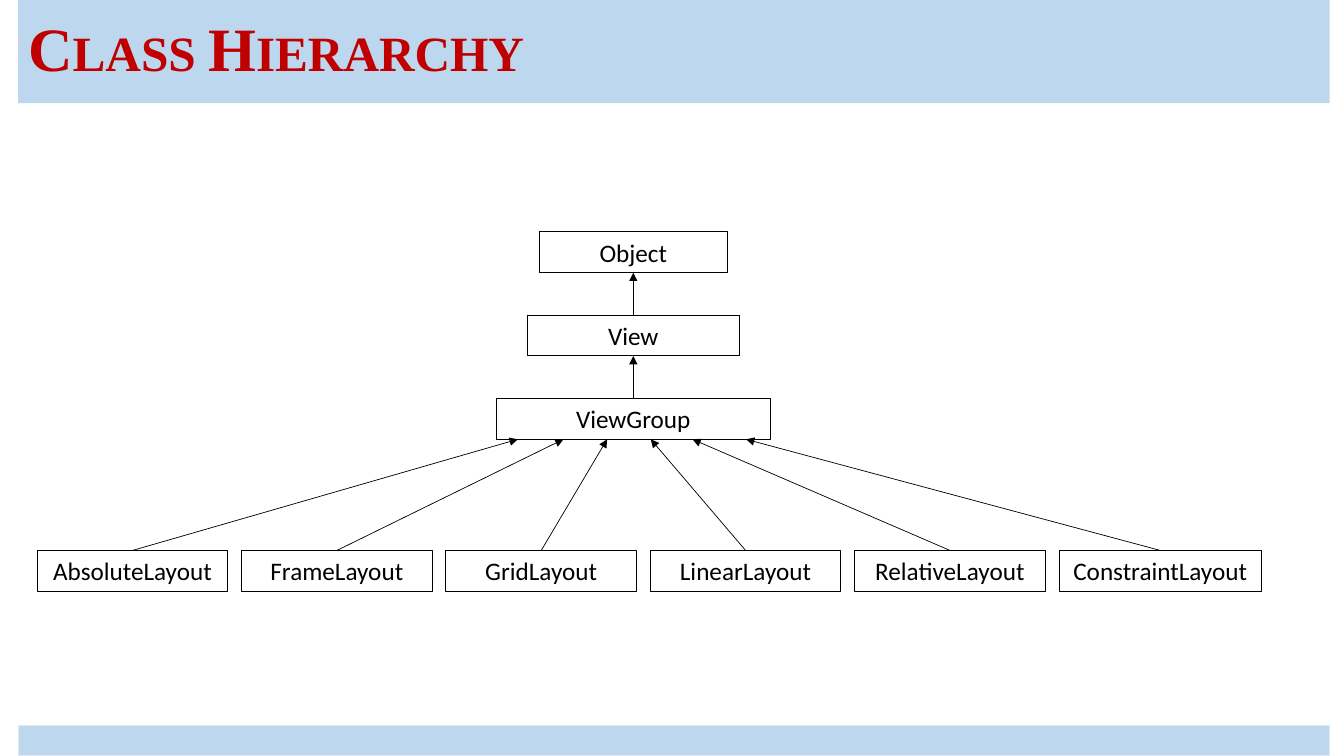
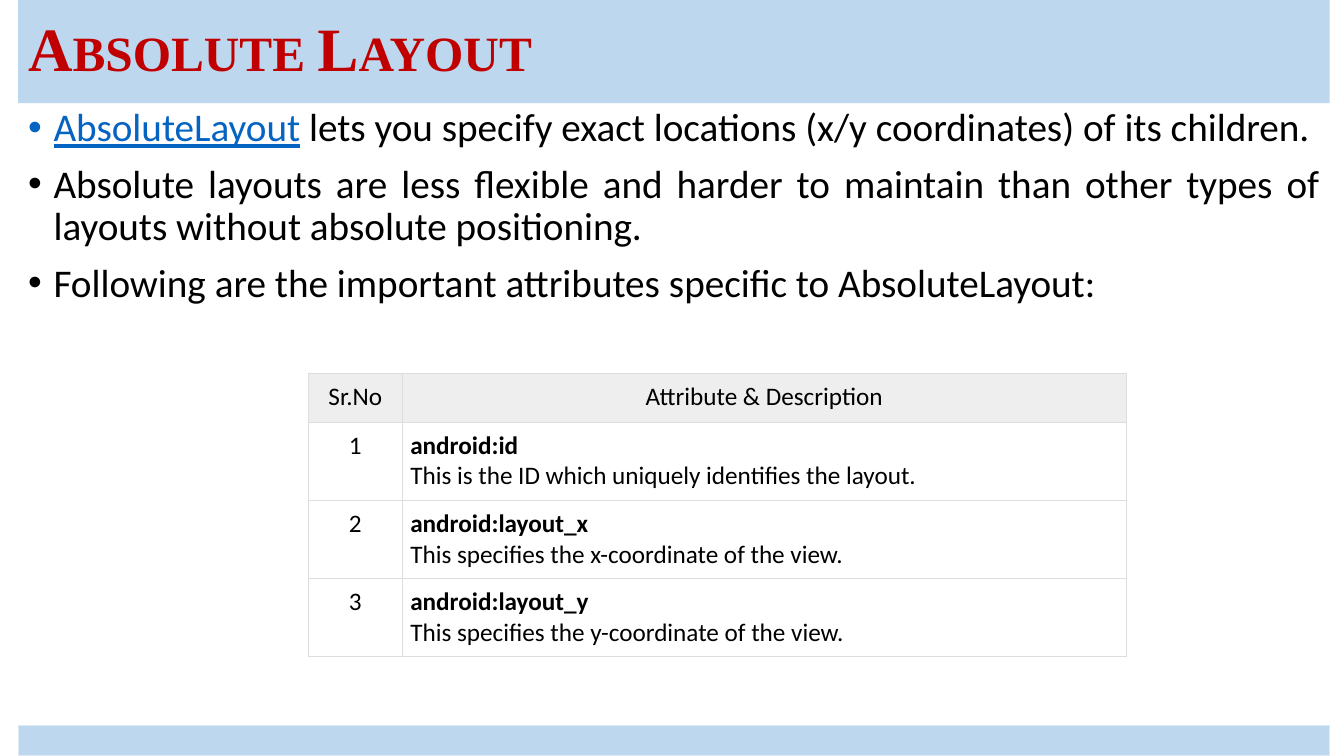
from dataclasses import dataclass
from typing import Any

from lxml import etree
from pptx import Presentation
from pptx.dml.color import RGBColor
from pptx.enum import shapes, text
from pptx.oxml.ns import qn
from pptx.util import Cm, Pt

BAND_BLUE = RGBColor(0xBD, 0xD7, 0xEE)
BAND_EDGE = RGBColor(0xDE, 0xEB, 0xF7)
TITLE_RED = RGBColor(0xC0, 0x00, 0x00)
LINK_BLUE = RGBColor(0x05, 0x63, 0xC1)
HEADER_GREY = RGBColor(0xEE, 0xEE, 0xEE)
GRID_GREY = RGBColor(0xDD, 0xDD, 0xDD)
BLACK = RGBColor(0x00, 0x00, 0x00)

TITLE_FONT = dict(name="Times New Roman", size=Pt(44), bold=True)
BODY_FONT = dict(name="Calibri", size=Pt(28))
LABEL_FONT = dict(name="Calibri", size=Pt(18))
LABEL_BOLD = LABEL_FONT | dict(bold=True)

CENTER = text.PP_ALIGN.CENTER
JUSTIFY = text.PP_ALIGN.JUSTIFY

BAND_LEFT, BAND_WIDTH = 0.46, 33.05
TITLE_HEIGHT = 2.6
BOX_HEIGHT = 1.03
CHAIN_CENTER, CHAIN_TOP, CHAIN_PITCH = 15.96, 5.84, 2.1
LAYOUT_LEFT, LAYOUT_TOP, LAYOUT_PITCH = 0.94, 13.87, 5.15


@dataclass(frozen=True)
class ChainClass:
    name: str
    width: float


@dataclass(frozen=True)
class LayoutClass:
    name: str
    arrow_x: float
    width: float = 4.8


@dataclass(frozen=True)
class Attribute:
    name: str
    description: str


CHAIN = [
    ChainClass("Object", 4.75),
    ChainClass("View", 5.35),
    ChainClass("ViewGroup", 6.9),
]
LAYOUTS = [
    LayoutClass("AbsoluteLayout", 13.05),
    LayoutClass("FrameLayout", 14.2),
    LayoutClass("GridLayout", 15.3),
    LayoutClass("LinearLayout", 16.4),
    LayoutClass("RelativeLayout", 17.45),
    LayoutClass("ConstraintLayout", 18.8, 5.1),
]
BULLETS = [
    [("AbsoluteLayout", LINK_BLUE),
     (" lets you specify exact locations (x/y coordinates) of its children.", BLACK)],
    [("Absolute layouts are less flexible and harder to maintain than other types of "
      "layouts without absolute positioning.", BLACK)],
    [("Following are the important attributes specific to AbsoluteLayout:", BLACK)],
]
ATTRIBUTES = [
    Attribute("android:id", "This is the ID which uniquely identifies the layout."),
    Attribute("android:layout_x", "This specifies the x-coordinate of the view."),
    Attribute("android:layout_y", "This specifies the y-coordinate of the view."),
]


def apply(target: Any, values: dict[str, Any]) -> None:
    for name, value in values.items():
        setattr(target, name, value)


def add_run(paragraph: Any, words: str, font: dict[str, Any], color: RGBColor = BLACK) -> Any:
    run = paragraph.add_run()
    run.text = words
    apply(run.font, font)
    run.font.color.rgb = color
    return run


def add_box(slide: Any, left: float, top: float, width: float, height: float,
            fill: RGBColor | None = None, edge: RGBColor | None = None,
            edge_width: float = 0.75) -> Any:
    box = slide.shapes.add_shape(shapes.MSO_SHAPE.RECTANGLE,
                                 Cm(left), Cm(top), Cm(width), Cm(height))
    box.shadow.inherit = False
    for part, color in ((box.fill, fill), (box.line.fill, edge)):
        if color is None:
            part.background()
        else:
            part.solid()
            part.fore_color.rgb = color
    if edge is not None:
        box.line.width = Pt(edge_width)
    apply(box.text_frame, dict(word_wrap=True, vertical_anchor=text.MSO_ANCHOR.MIDDLE))
    return box


def add_class_box(slide: Any, name: str, left: float, top: float, width: float) -> None:
    box = add_box(slide, left, top, width, BOX_HEIGHT, edge=BLACK)
    paragraph = box.text_frame.paragraphs[0]
    paragraph.alignment = CENTER
    add_run(paragraph, name, LABEL_FONT)


def add_arrow(slide: Any, start: tuple[float, float], end: tuple[float, float]) -> None:
    arrow = slide.shapes.add_connector(shapes.MSO_CONNECTOR.STRAIGHT,
                                       *(Cm(value) for value in start + end))
    arrow.line.color.rgb = BLACK
    arrow.line.width = Pt(0.5)
    properties = arrow.element.spPr
    etree.SubElement(properties.find(qn("a:ln")), qn("a:tailEnd"), type="triangle")
    etree.SubElement(properties, qn("a:effectLst"))


def add_titled_slide(presentation: Any, title: str) -> Any:
    """Add a blank slide with the footer band and the title band."""
    slide = presentation.slides.add_slide(presentation.slide_layouts[6])
    add_box(slide, BAND_LEFT, 18.29, BAND_WIDTH, 0.76, BAND_BLUE, BAND_EDGE, 1)
    band = add_box(slide, BAND_LEFT, 0, BAND_WIDTH, TITLE_HEIGHT, BAND_BLUE)
    paragraph = band.text_frame.paragraphs[0]
    apply(paragraph, dict(alignment=text.PP_ALIGN.LEFT, line_spacing=0.9))
    run = add_run(paragraph, title, TITLE_FONT, TITLE_RED)
    run.font._element.set("cap", "small")
    return slide


def add_bullets(slide: Any) -> None:
    body = slide.shapes.add_textbox(Cm(BAND_LEFT), Cm(TITLE_HEIGHT),
                                    Cm(BAND_WIDTH), Cm(6)).text_frame
    body.word_wrap = True
    for index, parts in enumerate(BULLETS):
        paragraph = body.add_paragraph() if index else body.paragraphs[0]
        apply(paragraph, dict(alignment=JUSTIFY, line_spacing=0.9,
                              space_before=Pt(10 if index else 0)))
        properties = paragraph._p.get_or_add_pPr()
        properties.set("marL", str(Cm(0.64)))
        properties.set("indent", str(-Cm(0.64)))
        etree.SubElement(properties, qn("a:buFont"), typeface="Arial")
        etree.SubElement(properties, qn("a:buChar"), char="•")
        for words, color in parts:
            add_run(paragraph, words, BODY_FONT | dict(underline=color == LINK_BLUE), color)


def add_borders(cell: Any) -> None:
    properties = cell._tc.get_or_add_tcPr()
    for index, side in enumerate(("lnL", "lnR", "lnT", "lnB")):
        line = etree.Element(qn(f"a:{side}"), w=str(Pt(0.75)))
        fill = etree.SubElement(line, qn("a:solidFill"))
        etree.SubElement(fill, qn("a:srgbClr"), val=str(GRID_GREY))
        properties.insert(index, line)


def fill_cell(cell: Any, lines: list[tuple[str, dict[str, Any]]],
              alignment: Any, fill: RGBColor | None) -> None:
    margins = ("margin_left", "margin_right", "margin_top", "margin_bottom")
    apply(cell, dict.fromkeys(margins, Cm(0.2)))
    if fill is None:
        cell.fill.background()
    else:
        cell.fill.solid()
        cell.fill.fore_color.rgb = fill
    add_borders(cell)
    for index, (words, font) in enumerate(lines):
        paragraph = cell.text_frame.add_paragraph() if index else cell.text_frame.paragraphs[0]
        paragraph.alignment = alignment
        add_run(paragraph, words, font)


def add_attribute_table(slide: Any) -> None:
    widths = (2.37, 18.24)
    heights = [1.22] + [1.97] * len(ATTRIBUTES)
    table = slide.shapes.add_table(len(heights), len(widths), Cm(7.77), Cm(9.42),
                                   Cm(sum(widths)), Cm(sum(heights))).table
    apply(table, dict(first_row=False, horz_banding=False))
    for column, width in zip(table.columns, widths):
        column.width = Cm(width)
    for row, height in zip(table.rows, heights):
        row.height = Cm(height)
    for column, heading in enumerate(("Sr.No", "Attribute & Description")):
        fill_cell(table.cell(0, column), [(heading, LABEL_FONT)], CENTER, HEADER_GREY)
    for number, attribute in enumerate(ATTRIBUTES, start=1):
        fill_cell(table.cell(number, 0), [(str(number), LABEL_FONT)], CENTER, None)
        fill_cell(table.cell(number, 1),
                  [(attribute.name, LABEL_BOLD), (attribute.description, LABEL_FONT)],
                  JUSTIFY, None)


def build_hierarchy(presentation: Any) -> None:
    slide = add_titled_slide(presentation, "Class Hierarchy")
    bottom = CHAIN_TOP
    for index, item in enumerate(CHAIN):
        top = CHAIN_TOP + index * CHAIN_PITCH
        add_class_box(slide, item.name, CHAIN_CENTER - item.width / 2, top, item.width)
        if index:
            add_arrow(slide, (CHAIN_CENTER, top), (CHAIN_CENTER, bottom))
        bottom = top + BOX_HEIGHT
    for index, layout in enumerate(LAYOUTS):
        left = LAYOUT_LEFT + index * LAYOUT_PITCH
        add_class_box(slide, layout.name, left, LAYOUT_TOP, layout.width)
        add_arrow(slide, (left + layout.width / 2, LAYOUT_TOP), (layout.arrow_x, bottom))


def build_absolute_layout(presentation: Any) -> None:
    slide = add_titled_slide(presentation, "Absolute Layout")
    add_bullets(slide)
    add_attribute_table(slide)


def main() -> None:
    presentation = Presentation()
    apply(presentation, dict(slide_width=Cm(33.87), slide_height=Cm(19.05)))
    build_hierarchy(presentation)
    build_absolute_layout(presentation)
    presentation.save("out.pptx")


if __name__ == "__main__":
    main()
